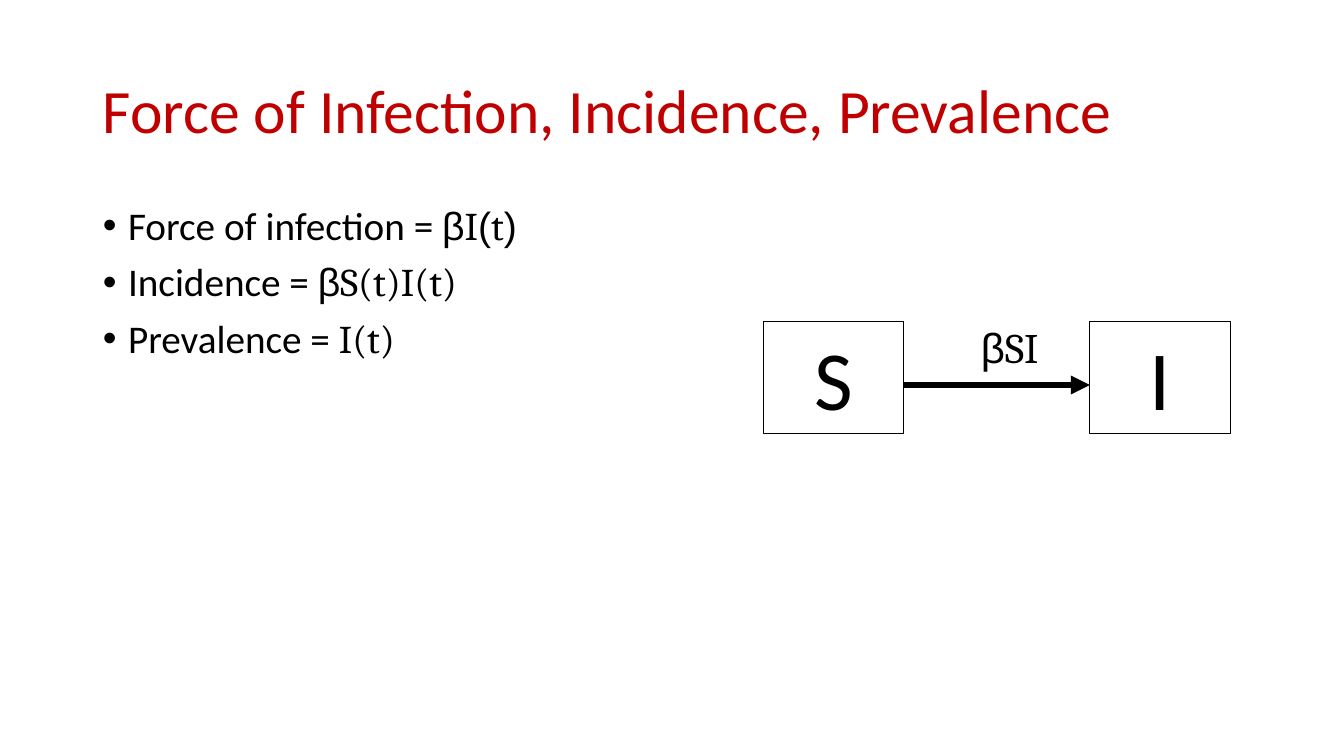
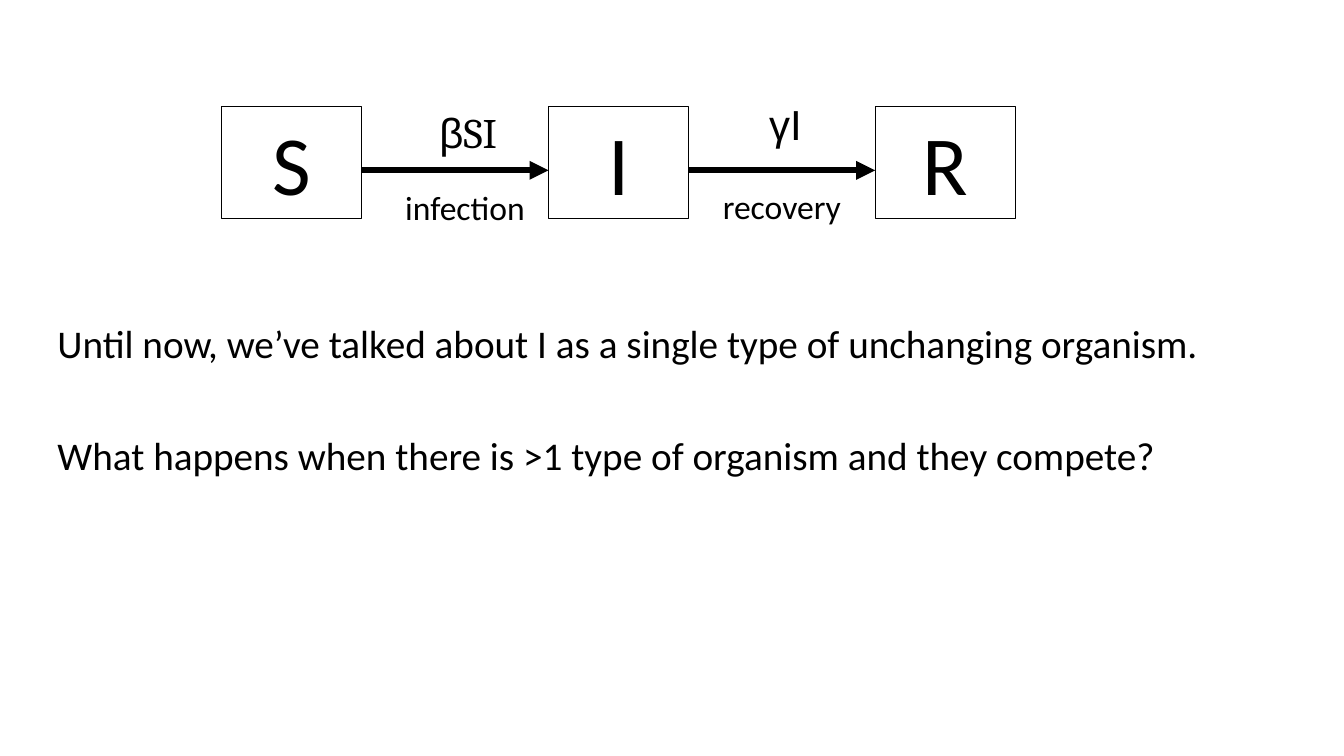
from lxml.etree import SubElement
from pptx import Presentation
from pptx.dml.color import RGBColor
from pptx.enum.shapes import MSO_CONNECTOR, MSO_SHAPE
from pptx.enum.text import MSO_ANCHOR, MSO_AUTO_SIZE, PP_ALIGN
from pptx.oxml.ns import qn
from pptx.util import Inches, Pt

RED = RGBColor(0xC0, 0x00, 0x00)
BLACK = RGBColor(0x00, 0x00, 0x00)
TEXT, GREEK, MATH = "Calibri", "Arial", "Cambria"

TITLE = "Force of Infection, Incidence, Prevalence"
DEFINITIONS = [
    [("Force of infection = ", TEXT), ("β", GREEK), ("I", MATH),
     ("(", GREEK), ("t", MATH), (")", GREEK)],
    [("Incidence = ", TEXT), ("β", GREEK), ("S(t)I(t)", MATH)],
    [("Prevalence = ", TEXT), ("I(t)", MATH)],
]
QUESTIONS = [
    [("Until now, we’ve talked about I as a single type of unchanging organism.", TEXT)],
    [("What happens when there is >1 type of organism and they compete?", TEXT)],
]

# Labels: spans, size, and left, top, width, height from the arrow's start and box top
INFECTION_RATE = ([("β", GREEK), ("SI", MATH)], 30, (0.67, -0.05, 0.94, 0.61))
INFECTION_NAME = ([("infection", TEXT)], 24, (0.33, 0.75, 1.51, 0.5))
RECOVERY_RATE = ([("γΙ", GREEK)], 30, (0.7, -0.13, 0.94, 0.61))
RECOVERY_NAME = ([("recovery", TEXT)], 24, (0.24, 0.74, 1.51, 0.5))

STATE_WIDTH, STATE_HEIGHT = 1.39, 1.11
ARROW_LENGTH, ARROW_DROP = 1.85, 0.63


def place(shape, left, top, width, height):
    shape.left, shape.top = Inches(left), Inches(top)
    shape.width, shape.height = Inches(width), Inches(height)


def write_spans(para, spans, size, color=BLACK):
    for text, font_name in spans:
        span = para.add_run()
        span.text = text
        span.font.name = font_name
        span.font.size = Pt(size)
        span.font.color.rgb = color


def fill_title(slide, text):
    title = slide.shapes.title
    place(title, 0.92, 0.4, 11.5, 1.45)
    title.text_frame.auto_size = MSO_AUTO_SIZE.NONE
    title.text_frame.vertical_anchor = MSO_ANCHOR.MIDDLE
    para = title.text_frame.paragraphs[0]
    para.alignment = PP_ALIGN.LEFT
    para.line_spacing = 0.9
    write_spans(para, [(text, TEXT)], 44, RED)


def set_bullet(para, bulleted):
    properties = para._p.get_or_add_pPr()
    indent = Inches(0.25) if bulleted else 0
    properties.set("marL", str(indent))
    properties.set("indent", str(-indent))
    if bulleted:
        SubElement(properties, qn("a:buFont")).set("typeface", "Arial")
        SubElement(properties, qn("a:buChar")).set("char", "•")
    else:
        SubElement(properties, qn("a:buNone"))


def fill_body(slide, area, lines, bulleted, gap):
    body = slide.placeholders[1]
    place(body, *area)
    frame = body.text_frame
    frame.auto_size = MSO_AUTO_SIZE.NONE
    for index, spans in enumerate(lines):
        para = frame.add_paragraph() if index else frame.paragraphs[0]
        set_bullet(para, bulleted)
        para.line_spacing = 0.9
        para.space_before = Pt(gap if index else 0)
        write_spans(para, spans, 28)


def add_state(slide, name, left, top):
    box = slide.shapes.add_shape(
        MSO_SHAPE.RECTANGLE, Inches(left), Inches(top),
        Inches(STATE_WIDTH), Inches(STATE_HEIGHT))
    box.shadow.inherit = False
    box.fill.background()
    box.line.color.rgb = BLACK
    box.line.width = Pt(0.75)
    box.text_frame.vertical_anchor = MSO_ANCHOR.TOP
    para = box.text_frame.paragraphs[0]
    para.alignment = PP_ALIGN.CENTER
    write_spans(para, [(name, TEXT)], 60)


def add_arrow(slide, left, top):
    arrow = slide.shapes.add_connector(
        MSO_CONNECTOR.STRAIGHT, Inches(left), Inches(top),
        Inches(left + ARROW_LENGTH), Inches(top))
    arrow.line.color.rgb = BLACK
    arrow.line.width = Pt(4.5)
    SubElement(arrow.line._get_or_add_ln(), qn("a:tailEnd")).set("type", "triangle")
    SubElement(arrow._element.spPr, qn("a:effectLst"))


def add_label(slide, spans, size, area):
    box = slide.shapes.add_textbox(*(Inches(value) for value in area))
    box.text_frame.word_wrap = True
    write_spans(box.text_frame.paragraphs[0], spans, size)


def add_flow(slide, left, top, states, transitions):
    """Draw states in a row, with one list of labels for each arrow between them."""
    step = STATE_WIDTH + ARROW_LENGTH
    for index, name in enumerate(states):
        add_state(slide, name, left + index * step, top)
    for index, labels in enumerate(transitions):
        start = left + index * step + STATE_WIDTH
        add_arrow(slide, start, top + ARROW_DROP)
        for spans, size, (across, down, width, height) in labels:
            add_label(slide, spans, size, (start + across, top + down, width, height))


def main():
    deck = Presentation()
    deck.slide_width, deck.slide_height = Inches(13.33), Inches(7.5)
    layout = deck.slide_layouts[1]

    page = deck.slides.add_slide(layout)
    fill_title(page, TITLE)
    fill_body(page, (0.92, 2, 5.75, 2.79), DEFINITIONS, bulleted=True, gap=10)
    add_flow(page, 7.57, 3.19, "SI", [[INFECTION_RATE]])

    page = deck.slides.add_slide(layout)
    title = page.shapes.title._element
    title.getparent().remove(title)
    fill_body(page, (0.47, 3.17, 11.95, 3.58), QUESTIONS, bulleted=False, gap=50)
    add_flow(page, 2.2, 1.06, "SIR", [[INFECTION_RATE, INFECTION_NAME],
                                      [RECOVERY_RATE, RECOVERY_NAME]])

    deck.save("out.pptx")


if __name__ == "__main__":
    main()
